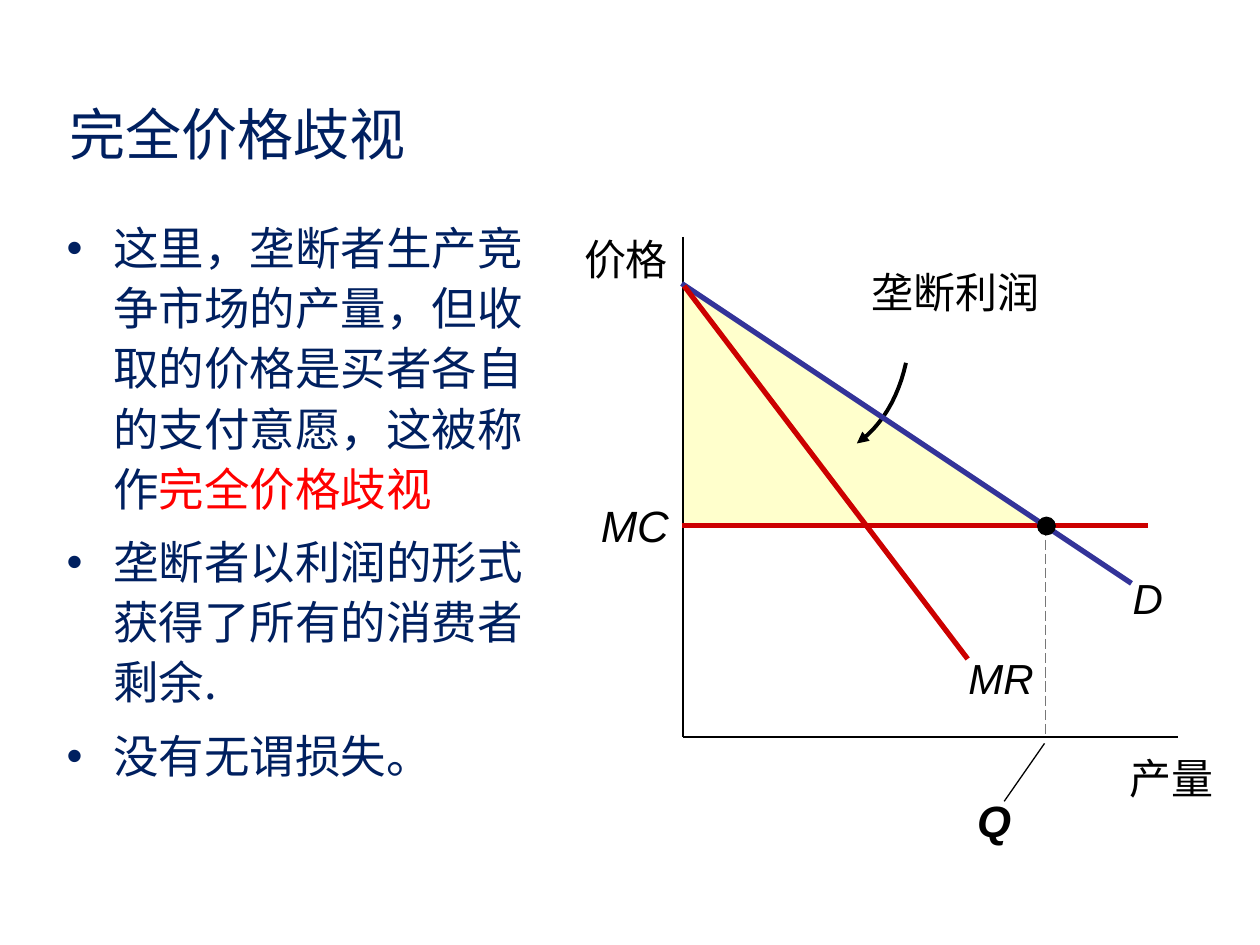
"""Build a slide on perfect price discrimination with a monopoly diagram."""
from lxml.etree import SubElement
from pptx import Presentation
from pptx.dml.color import RGBColor
from pptx.enum.dml import MSO_LINE
from pptx.enum.shapes import MSO_CONNECTOR, MSO_SHAPE
from pptx.enum.text import PP_ALIGN
from pptx.oxml.ns import qn
from pptx.util import Inches, Pt

COLORS = {"navy": "002060", "red": "FF0000", "black": "000000", "profit": "FFFFCC",
          "cost": "CC0000", "demand": "333399", "guide": "777777"}
CJK, LATIN = "Noto Sans CJK SC", "Arial"
LEFT, CENTER, RIGHT = PP_ALIGN.LEFT, PP_ALIGN.CENTER, PP_ALIGN.RIGHT

TITLE = "完全价格歧视"
BULLETS = [
    [("这里，垄断者生产竞争市场的产量，但收取的价格是买者各自的支付意愿，这被称作", "navy"),
     ("完全价格歧视", "red")],
    [("垄断者以利润的形式获得了所有的消费者剩余.", "navy")],
    [("没有无谓损失。", "navy")],
]
AXIS_X, AXIS_Y, MC_Y, Q_X = 5.42, 5.85, 4.17, 8.3
AXES = [((AXIS_X, 1.88), (AXIS_X, AXIS_Y)), ((AXIS_X, AXIS_Y), (9.35, AXIS_Y))]
CURVES = [
    ((5.41, MC_Y), (9.11, MC_Y), "cost"),
    ((5.41, 2.25), (8.98, 4.63), "demand"),
    ((5.43, 2.27), (7.68, 5.23), "cost"),
]
ARROW = [(7.19, 2.88), (7.13, 3.16), (6.99, 3.39), (6.8, 3.52)]
CJK_LABELS = [
    ("垄断利润", (6.82, 2.03, 2, 0.5), LEFT, 0.1),
    ("产量", (8.27, 5.94, 1.36, 0.4), RIGHT, 0),
    ("价格", (3.66, 1.77, 1.74, 0.5), RIGHT, 0.1),
]
LATIN_LABELS = [
    ("MC", (4.67, 3.91, 0.8, 0.52), 25, LEFT, 0.1, False),
    ("D", (8.87, 4.54, 0.48, 0.4), 24, CENTER, 0, False),
    ("MR", (7.62, 5.18, 0.65, 0.4), 24, CENTER, 0, False),
    ("Q", (7.62, 6.3, 0.54, 0.47), 25, CENTER, 0, True),
]


def rgb(name):
    return RGBColor.from_string(COLORS[name])


def add_text(s, paras, box, size, font=CJK, align=LEFT, inset=0.1, wrap=True,
             italic=False, bold=False, cjk=True, bullet=False):
    left, top, width, height = box
    if cjk:
        top += 0.1 * size / 72
    tf = s.shapes.add_textbox(*map(Inches, (left, top, width, height))).text_frame
    tf.word_wrap = wrap
    tf.margin_left = tf.margin_right = Inches(inset)
    tf.margin_top = tf.margin_bottom = Inches(inset / 2)
    for i, runs in enumerate(paras):
        p = tf.paragraphs[0] if i == 0 else tf.add_paragraph()
        p.alignment = align
        if cjk:
            p.line_spacing = Pt(size * (1.32 if bullet else 1.2))
        if bullet:
            p.space_before = Pt(0.3 * size if i else 0)
            pPr = p._p.get_or_add_pPr()
            pPr.set("marL", str(Inches(0.37)))
            pPr.set("indent", str(-Inches(0.37)))
            SubElement(pPr, qn("a:buFont"), typeface=LATIN)
            SubElement(pPr, qn("a:buChar"), char="•")
        for text, color in runs:
            r = p.add_run()
            r.text = text
            r.font.name, r.font.size = font, Pt(size)
            r.font.italic, r.font.bold = italic, bold
            r.font.color.rgb = rgb(color)
            if cjk:
                SubElement(r._r.get_or_add_rPr(), qn("a:ea"), typeface=CJK)


def add_line(s, start, end, color="black", width=0.75):
    ends = map(Inches, (*start, *end))
    line = s.shapes.add_connector(MSO_CONNECTOR.STRAIGHT, *ends)
    line.line.color.rgb, line.line.width = rgb(color), Pt(width)
    SubElement(line._element.spPr, qn("a:effectLst"))
    return line


def add_filled(s, kind, box, color):
    sp = s.shapes.add_shape(kind, *map(Inches, box))
    sp.shadow.inherit = False
    sp.fill.solid()
    sp.fill.fore_color.rgb = rgb(color)
    sp.line.fill.background()


def bezier(points, t):
    weights = ((1 - t) ** 3, 3 * t * (1 - t) ** 2, 3 * t ** 2 * (1 - t), t ** 3)
    return tuple(Inches(sum(w * pt[k] for w, pt in zip(weights, points))) for k in (0, 1))


def add_arrow(s, points, steps=12):
    curve = [bezier(points, i / steps) for i in range(steps + 1)]
    builder = s.shapes.build_freeform(*curve[0])
    builder.add_line_segments(curve[1:], close=False)
    sp = builder.convert_to_shape()
    sp.shadow.inherit = False
    sp.fill.background()
    sp.line.color.rgb, sp.line.width = rgb("black"), Pt(2.25)
    SubElement(sp.line._get_or_add_ln(), qn("a:tailEnd"), type="triangle")


def main():
    prs = Presentation()
    prs.slide_width, prs.slide_height = Inches(10), Inches(7.5)
    s = prs.slides.add_slide(prs.slide_layouts[6])

    add_text(s, [[(TITLE, "navy")]], (0.45, 0.7, 2.87, 0.64), 32, wrap=False)
    add_filled(s, MSO_SHAPE.RIGHT_TRIANGLE, (AXIS_X, 2.26, 2.85, 1.91), "profit")
    add_arrow(s, ARROW)
    add_text(s, BULLETS, (0.43, 1.62, 3.95, 4.73), 26, bullet=True)

    for start, end in AXES:
        add_line(s, start, end)
    for start, end, color in CURVES:
        add_line(s, start, end, color, 3)
    guide = add_line(s, (Q_X, MC_Y), (Q_X, AXIS_Y), "guide")
    guide.line.dash_style = MSO_LINE.LONG_DASH
    add_filled(s, MSO_SHAPE.OVAL, (Q_X - 0.07, MC_Y - 0.07, 0.15, 0.15), "black")
    add_line(s, (7.97, 6.36), (8.29, 5.9))

    for text, box, align, inset in CJK_LABELS:
        add_text(s, [[(text, "black")]], box, 24, LATIN, align, inset)
    for text, box, size, align, inset, bold in LATIN_LABELS:
        add_text(s, [[(text, "black")]], box, size, LATIN, align, inset,
                 italic=True, bold=bold, cjk=False)
    prs.save("out.pptx")


if __name__ == "__main__":
    main()
